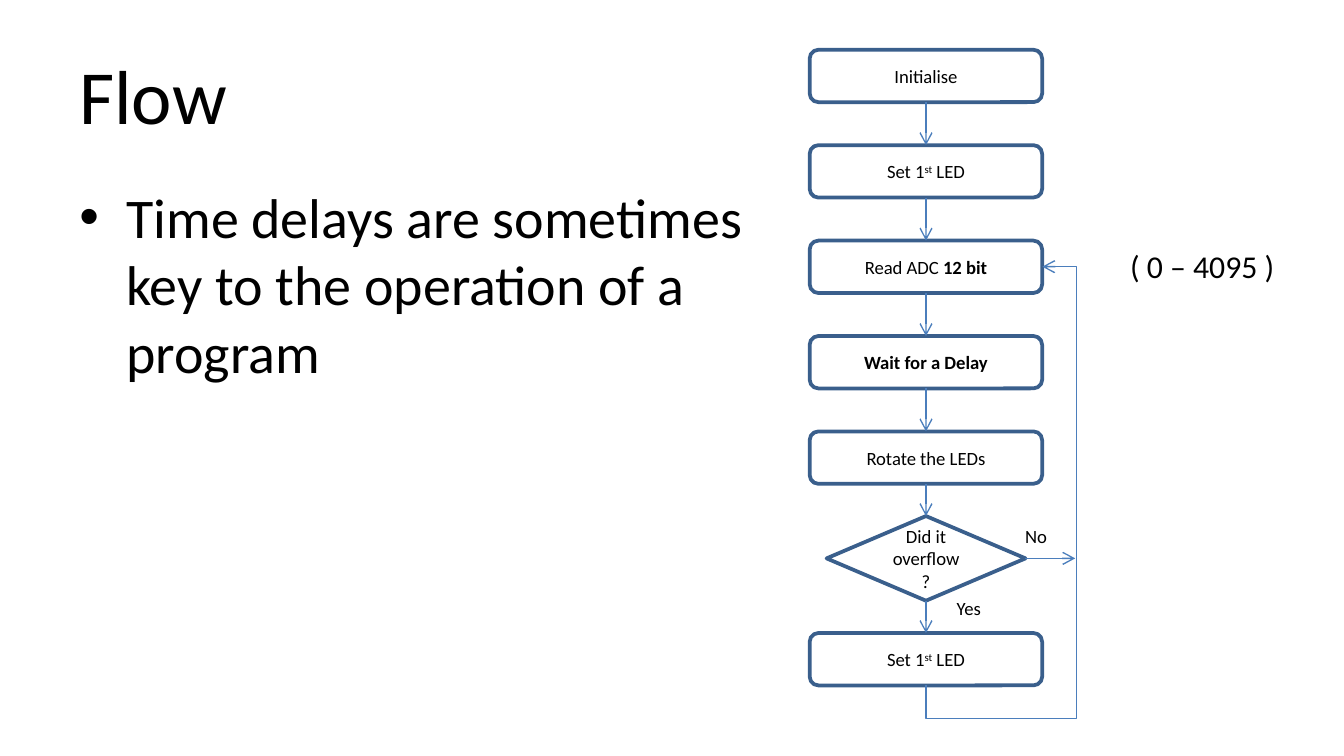
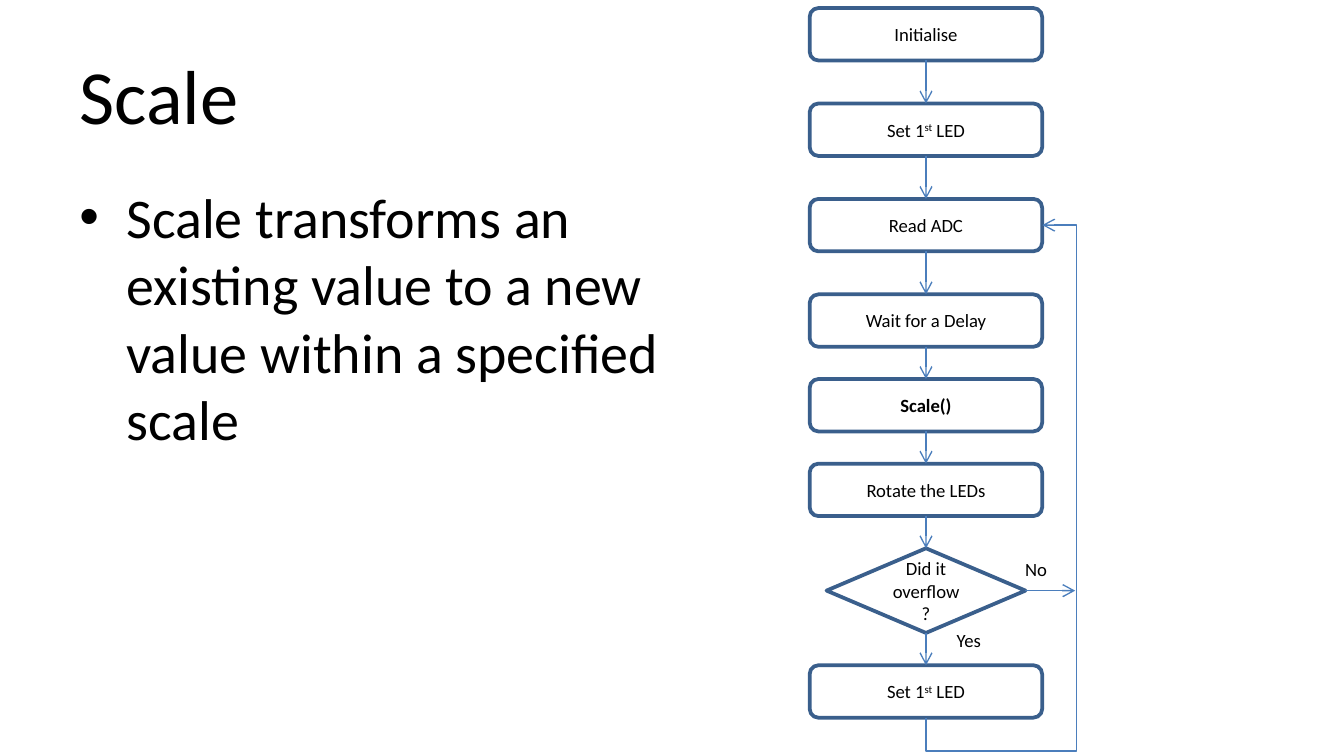
import pptx
import pptx.util
import pptx.dml.color
import pptx.enum.shapes
import pptx.enum.text
import pptx.oxml.ns
from lxml import etree

Inches, Pt = pptx.util.Inches, pptx.util.Pt
RGBColor = pptx.dml.color.RGBColor
MSO_SHAPE = pptx.enum.shapes.MSO_SHAPE
MSO_CONNECTOR = pptx.enum.shapes.MSO_CONNECTOR
MSO_ANCHOR = pptx.enum.text.MSO_ANCHOR
MSO_AUTO_SIZE = pptx.enum.text.MSO_AUTO_SIZE
PP_ALIGN = pptx.enum.text.PP_ALIGN
qn = pptx.oxml.ns.qn

# Content: each step is a list of (text, style) runs
SET_LED = [("Set 1", ""), ("st", "super"), (" LED", "")]
INITIALISE = [("Initialise", "")]
ROTATE = [("Rotate the LEDs", "")]
OVERFLOW = [("Did it overflow ?", "")]
READ, WAIT = 2, 3  # positions in the chart; the loop returns to READ

SLIDES = [
    {
        "title": "Flow",
        "bullet": "Time delays are sometimes key to the operation of a program",
        "top": 0.37,
        "steps": [INITIALISE, SET_LED, [("Read ADC ", ""), ("12 bit", "bold")],
                  [("Wait for a Delay", "bold")], ROTATE, OVERFLOW, SET_LED],
        "wide_gaps": 4,
        "range": "( 0 – 4095 )",
    },
    {
        "title": "Scale",
        "bullet": "Scale transforms an existing value to a new value "
                  "within a specified scale",
        "top": 0.06,
        "steps": [INITIALISE, SET_LED, [("Read ADC", "")],
                  [("Wait for a Delay", "")], [("Scale()", "bold")],
                  ROTATE, OVERFLOW, SET_LED],
        "wide_gaps": WAIT,
        "range": None,
    },
]

# Shared style
FONT = "Calibri"
BLACK = RGBColor(0x00, 0x00, 0x00)
WHITE = RGBColor(0xFF, 0xFF, 0xFF)
BOX_LINE = RGBColor(0x3A, 0x5F, 0x8C)
ARROW = RGBColor(0x4B, 0x7E, 0xBC)

# Flowchart measures in inches
CENTRE = 6.89
BOX_W, BOX_H = 1.73, 0.39
DIAMOND_W, DIAMOND_H = 1.48, 0.63
WIDE_GAP, NARROW_GAP = 0.32, 0.24
LOOP_X, LOOP_OUT = 8.01, 0.25
TOP, BOTTOM, RIGHT = 0, 2, 3  # connection sites


def add_run(p, text, size, style=""):
    r = p.add_run()
    r.text = text
    r.font.name = FONT
    r.font.size = Pt(size)
    r.font.color.rgb = BLACK
    if style == "bold":
        r.font.bold = True
    elif style == "super":
        r.font._element.set("baseline", "30000")


def add_title(s, text):
    sp = s.shapes.title
    sp.left, sp.top, sp.width, sp.height = map(Inches, (0.5, 0.23, 9, 0.94))
    tf = sp.text_frame
    tf.margin_left = tf.margin_right = Inches(0.09)
    tf.vertical_anchor = MSO_ANCHOR.MIDDLE
    p = tf.paragraphs[0]
    p.alignment = PP_ALIGN.LEFT
    add_run(p, text, 41)


def add_bullet(s, text):
    sp = s.shapes.add_textbox(*map(Inches, (0.5, 1.31, 5.21, 3.71)))
    tf = sp.text_frame
    tf.word_wrap = True
    tf.margin_left = tf.margin_right = Inches(0.09)
    p = tf.paragraphs[0]
    pPr = p._p.get_or_add_pPr()
    pPr.set("marL", str(Inches(0.35)))
    pPr.set("indent", str(-Inches(0.35)))
    etree.SubElement(pPr, qn("a:buFont"), typeface="Arial")
    etree.SubElement(pPr, qn("a:buChar"), char="•")
    add_run(p, text, 30)


def add_label(s, text, left, top, width, height, size=10):
    sp = s.shapes.add_textbox(*map(Inches, (left, top, width, height)))
    tf = sp.text_frame
    tf.word_wrap = False
    tf.auto_size = MSO_AUTO_SIZE.SHAPE_TO_FIT_TEXT
    add_run(tf.paragraphs[0], text, size)


def add_step(s, runs, top):
    if runs is OVERFLOW:
        kind, w, h = MSO_SHAPE.FLOWCHART_DECISION, DIAMOND_W, DIAMOND_H
    else:
        kind, w, h = MSO_SHAPE.FLOWCHART_ALTERNATE_PROCESS, BOX_W, BOX_H
    sp = s.shapes.add_shape(kind, *map(Inches, (CENTRE - w / 2, top, w, h)))
    sp.shadow.inherit = False
    sp.fill.solid()
    sp.fill.fore_color.rgb = WHITE
    sp.line.color.rgb = BOX_LINE
    sp.line.width = Pt(2)
    tf = sp.text_frame
    tf.word_wrap = True
    tf.vertical_anchor = MSO_ANCHOR.MIDDLE
    p = tf.paragraphs[0]
    p.alignment = PP_ALIGN.CENTER
    for text, style in runs:
        add_run(p, text, 10, style)
    return sp, h


def add_arrow(s, x1, y1, x2, y2, kind=MSO_CONNECTOR.STRAIGHT):
    con = s.shapes.add_connector(kind, *map(Inches, (x1, y1, x2, y2)))
    con.line.color.rgb = ARROW
    con.line.width = Pt(0.75)
    spPr = con._element.spPr
    etree.SubElement(spPr.find(qn("a:ln")), qn("a:tailEnd"), type="arrow")
    etree.SubElement(spPr, qn("a:effectLst"))
    return con


def add_loop(s, start_y, end_y):
    """Run down from the last box, out to the right and back up to READ."""
    end_x = CENTRE + BOX_W / 2
    across, up = end_x - CENTRE, start_y - end_y
    mid_x, mid_y = (CENTRE + end_x) / 2, (start_y + end_y) / 2
    # Laid out on its side, then turned a quarter
    con = add_arrow(s, mid_x + up / 2, mid_y + across / 2,
                    mid_x - up / 2, mid_y - across / 2, MSO_CONNECTOR.ELBOW)
    spPr = con._element.spPr
    spPr.find(qn("a:xfrm")).set("rot", "5400000")
    geom = spPr.find(qn("a:prstGeom"))
    geom.set("prst", "bentConnector4")
    guides = geom.find(qn("a:avLst"))
    if guides is None:
        guides = etree.SubElement(geom, qn("a:avLst"))
    bends = {"adj1": -LOOP_OUT / up, "adj2": (LOOP_X - CENTRE) / across}
    for name, share in bends.items():
        etree.SubElement(guides, qn("a:gd"), name=name,
                         fmla=f"val {round(share * 100000)}")


def add_flowchart(s, content):
    boxes, tops = [], []
    y = content["top"]
    for i, runs in enumerate(content["steps"]):
        sp, h = add_step(s, runs, y)
        boxes.append(sp)
        tops.append(y)
        y += h + (WIDE_GAP if i < content["wide_gaps"] else NARROW_GAP)

    # Arrows between neighbouring steps
    for upper, lower in zip(boxes, boxes[1:]):
        con = add_arrow(s, CENTRE, 0, CENTRE, 1)
        con.begin_connect(upper, BOTTOM)
        con.end_connect(lower, TOP)

    # Decision branches and the way back
    diamond = content["steps"].index(OVERFLOW)
    y = tops[diamond]
    branch_y = y + DIAMOND_H / 2
    con = add_arrow(s, CENTRE, branch_y, LOOP_X - 0.01, branch_y)
    con.begin_connect(boxes[diamond], RIGHT)
    add_label(s, "No", 7.53, y + 0.02, 0.37, 0.27)
    add_label(s, "Yes", 7.02, y + DIAMOND_H - 0.08, 0.39, 0.27)
    add_loop(s, tops[-1] + BOX_H, tops[READ] + BOX_H / 2)

    if content["range"]:
        add_label(s, content["range"], 8.31, tops[READ], 1.29, 0.39, 17)


def main():
    prs = pptx.Presentation()
    prs.slide_width = Inches(10)
    prs.slide_height = prs.slide_width * 9 // 16
    for content in SLIDES:
        s = prs.slides.add_slide(prs.slide_layouts[5])
        add_title(s, content["title"])
        add_bullet(s, content["bullet"])
        add_flowchart(s, content)
    prs.save("out.pptx")


if __name__ == "__main__":
    main()
